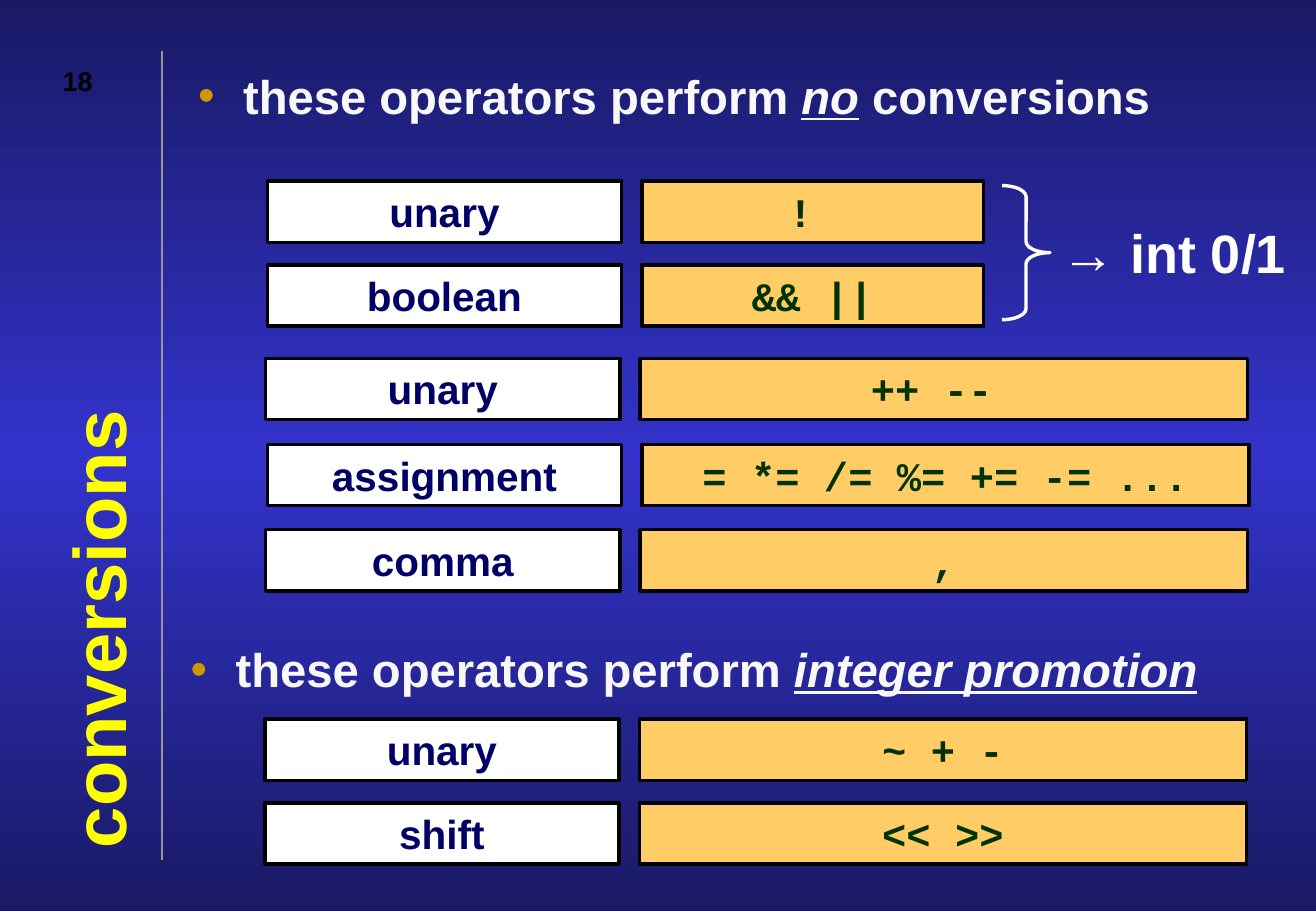
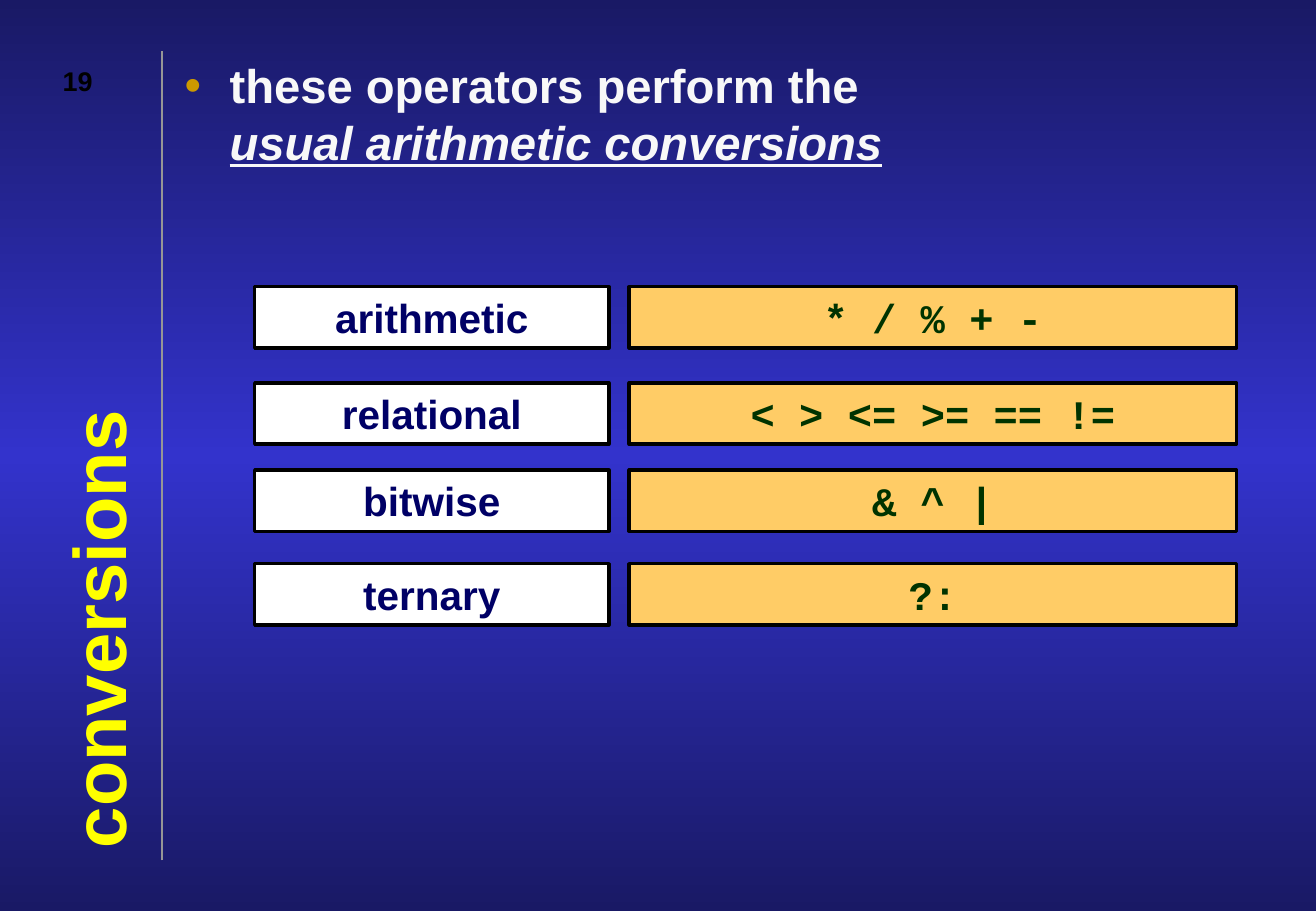
from copy import deepcopy

from lxml import etree
from pptx import Presentation
from pptx.dml.color import RGBColor
from pptx.enum.shapes import MSO_CONNECTOR, MSO_SHAPE
from pptx.enum.text import MSO_ANCHOR, MSO_AUTO_SIZE, PP_ALIGN
from pptx.oxml.ns import qn
from pptx.util import Pt

RECTANGLE, BRACE = MSO_SHAPE.RECTANGLE, MSO_SHAPE.RIGHT_BRACE
STRAIGHT = MSO_CONNECTOR.STRAIGHT
TOP, MIDDLE = MSO_ANCHOR.TOP, MSO_ANCHOR.MIDDLE
LEFT, CENTER = PP_ALIGN.LEFT, PP_ALIGN.CENTER
FIXED, GROW = MSO_AUTO_SIZE.NONE, MSO_AUTO_SIZE.SHAPE_TO_FIT_TEXT

NIGHT = RGBColor(0x19, 0x19, 0x65)
BLUE = RGBColor(0x33, 0x33, 0xCC)
NAVY = RGBColor(0x00, 0x00, 0x66)
GREEN = RGBColor(0x00, 0x33, 0x00)
ORANGE = RGBColor(0xFF, 0xCC, 0x66)
GOLD = RGBColor(0xCC, 0x99, 0x00)
YELLOW = RGBColor(0xFF, 0xFF, 0x00)
GRAY = RGBColor(0x96, 0x96, 0x96)
BLACK = RGBColor(0x00, 0x00, 0x00)
WHITE = RGBColor(0xFF, 0xFF, 0xFF)
OFF_WHITE = RGBColor(0xF8, 0xF8, 0xF8)

SANS, MONO = "Arial", "Courier New"
TITLE = "conversions"
BREAK = "\n"

# Bullets: (left, top, width, height), then spans of (text, emphasised)
# Rows: left, top, label, operators, width of the operators
WIDE, NARROW = 360, 202.5
SLIDES = [
    {
        "number": "18",
        "layout": 3,
        "bullets": [
            ((110.2, 36, 639.5, 126),
             [("these operators perform ", False), ("no", True), (" conversions", False)]),
            ((105.8, 376, 639.5, 126),
             [("these operators perform ", False), ("integer promotion", True)]),
        ],
        "rows": [
            (158.5, 107.3, "unary", "! ", NARROW),
            (158.5, 157, "boolean", "&& ||", NARROW),
            (157.5, 212.4, "unary", "++ -- ", WIDE),
            (158.5, 263.5, "assignment", "= *= /= %= += -= ...", WIDE),
            (157.5, 314, "comma", ",", WIDE),
            (157, 426.2, "unary", "~ + -", WIDE),
            (157, 475.9, "shift", "<< >>", WIDE),
        ],
        "result": "→ int 0/1",
    },
    {
        "number": "19",
        "layout": 1,
        "bullets": [
            ((102.2, 30, 639.5, 480),
             [("these operators perform the ", False), (BREAK, False),
              ("usual arithmetic conversions", True)]),
        ],
        "rows": [
            (151, 170, "arithmetic", "* / % + -", WIDE),
            (151, 227, "relational", "< > <= >= == !=", WIDE),
            (151, 278.6, "bitwise", "& ^ |", WIDE),
            (151, 334.1, "ternary", "?:", WIDE),
        ],
    },
]

LABEL_WIDTH, ROW_HEIGHT, COLUMN_GAP = 210, 36.3, 12


def write(shape, spans, size, color, font=SANS, align=LEFT, anchor=TOP,
          wrap=True, fit=FIXED, bullet=None):
    """Fill a shape with one paragraph, given as a string or (text, emphasised) spans."""
    frame = shape.text_frame
    frame.auto_size, frame.word_wrap, frame.vertical_anchor = fit, wrap, anchor
    para = frame.paragraphs[0]
    if bullet:
        add_bullet(para, bullet)
    para.alignment, para.space_before = align, Pt(0)
    for text, emphasised in [(spans, False)] if isinstance(spans, str) else spans:
        if text == BREAK:
            para.add_line_break()
            etree.SubElement(para._p[-1], qn("a:rPr"), sz=str(size * 100))
            continue
        span = para.add_run()
        span.text = text
        span.font.name, span.font.size, span.font.bold = font, Pt(size), True
        span.font.color.rgb = color
        if emphasised:
            span.font.italic = span.font.underline = True


def add_bullet(para, color):
    properties = para._p.get_or_add_pPr()
    properties.set("marL", str(Pt(26.7)))
    properties.set("indent", str(Pt(-26.7)))
    tint = etree.SubElement(properties, qn("a:buClr"))
    etree.SubElement(tint, qn("a:srgbClr"), val=str(color))
    etree.SubElement(properties, qn("a:buFont"), typeface=SANS)
    etree.SubElement(properties, qn("a:buChar"), char="•")


def place(shape, left, top, width, height):
    shape.left, shape.top = Pt(left), Pt(top)
    shape.width, shape.height = Pt(width), Pt(height)


def paint_background(master):
    fill = master.background.fill
    fill.gradient()
    fill.gradient_angle = 270
    stops = master.element.find(".//" + qn("a:gsLst"))
    while len(stops) > 2:
        stops.remove(stops[-1])
    stops.append(deepcopy(stops[0]))
    for stop, color, position in zip(fill.gradient_stops, (NIGHT, BLUE, NIGHT), (0, 0.5, 1)):
        stop.color.rgb, stop.position = color, position


def add_master_rule(master, page):
    """Draw the vertical rule on a page and move it to the master, so all pages show it."""
    rule = page.shapes.add_connector(STRAIGHT, Pt(96), Pt(510), Pt(96), Pt(30))
    rule.line.color.rgb, rule.line.width = GRAY, Pt(0.75)
    etree.SubElement(rule._element.spPr, qn("a:effectLst"))
    master.shapes._spTree.append(rule._element)


def add_cell(page, text, left, top, width, fill, **style):
    box = page.shapes.add_shape(RECTANGLE, Pt(left), Pt(top), Pt(width), Pt(ROW_HEIGHT))
    box.shadow.inherit = False
    box.fill.solid()
    box.fill.fore_color.rgb = fill
    box.line.color.rgb, box.line.width = BLACK, Pt(2)
    write(box, text, 24, align=CENTER, **style)


def add_result(page, text):
    brace = page.shapes.add_shape(BRACE, Pt(594), Pt(110), Pt(28.5), Pt(79.5))
    brace.shadow.inherit = False
    brace.adjustments[0] = 0.23
    brace.fill.background()
    brace.line.color.rgb, brace.line.width = WHITE, Pt(2)
    box = page.shapes.add_textbox(Pt(622), Pt(126.5), Pt(148.5), Pt(45.5))
    write(box, text, 32, WHITE, wrap=False, fit=GROW)


def build_page(deck, content):
    page = deck.slides.add_slide(deck.slide_layouts[content["layout"]])
    title, *bodies = page.placeholders
    place(title, -152.5, 267, 420, 66)
    title.rotation = 270
    write(title, TITLE, 44, YELLOW, anchor=MIDDLE)

    for left, top, label, operators, width in content["rows"]:
        add_cell(page, label, left, top, LABEL_WIDTH, WHITE, color=NAVY)
        add_cell(page, operators, left + LABEL_WIDTH + COLUMN_GAP, top, width, ORANGE,
                 color=GREEN, font=MONO)
    if "result" in content:
        add_result(page, content["result"])

    for body, (area, spans) in zip(bodies, content["bullets"]):
        place(body, *area)
        write(body, spans, 28, OFF_WHITE, bullet=GOLD)
    number = page.shapes.add_textbox(Pt(30), Pt(30), Pt(60), Pt(36))
    write(number, content["number"], 16, BLACK, anchor=MIDDLE)
    return page


def main():
    deck = Presentation()
    deck.slide_width, deck.slide_height = Pt(780.13), Pt(540)
    paint_background(deck.slide_master)
    pages = [build_page(deck, content) for content in SLIDES]
    add_master_rule(deck.slide_master, pages[0])
    deck.save("out.pptx")


if __name__ == "__main__":
    main()
